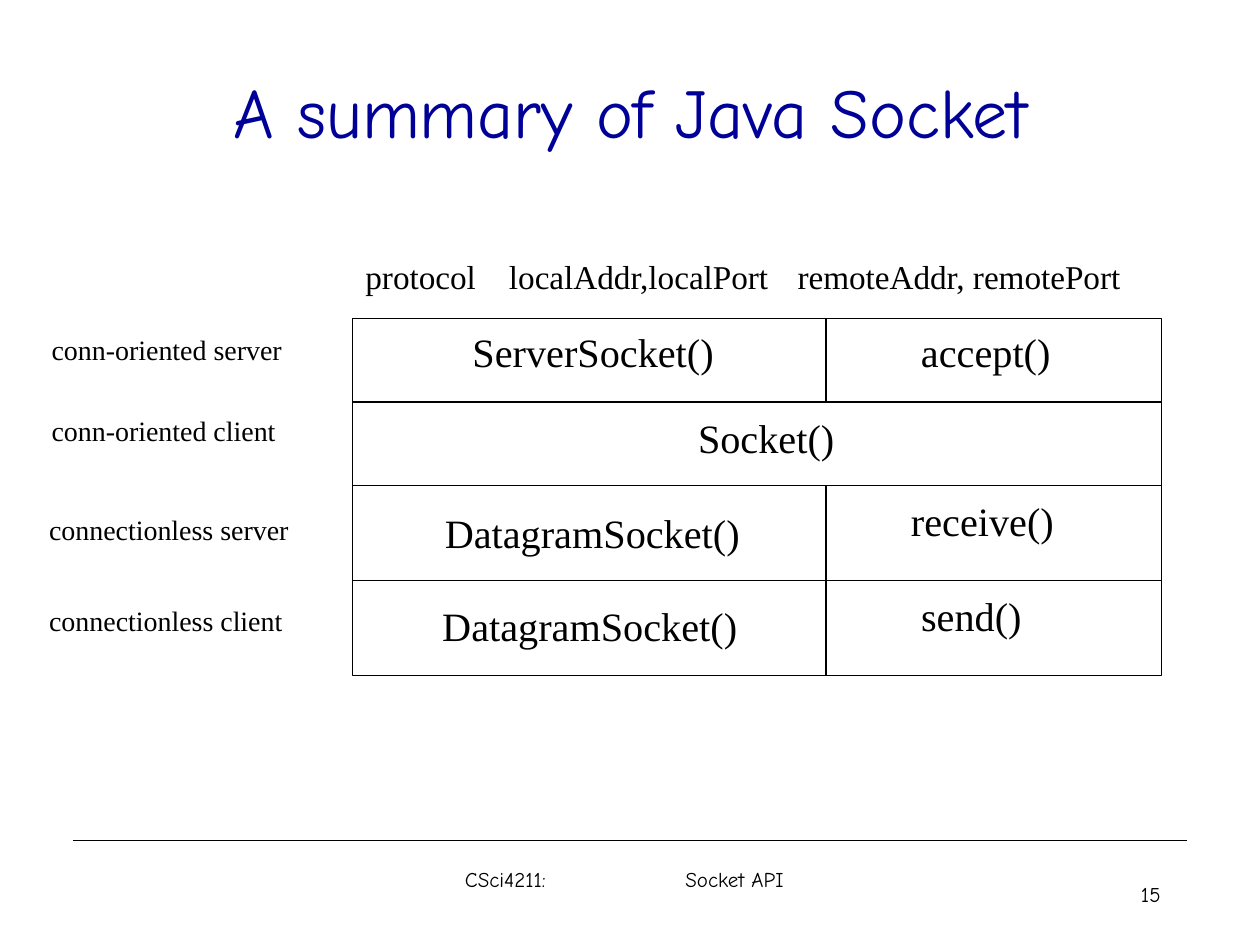
from lxml.etree import SubElement
from pptx import Presentation
from pptx.dml.color import RGBColor
from pptx.enum.shapes import MSO_CONNECTOR as Connector, MSO_SHAPE as Shape
from pptx.enum.text import MSO_ANCHOR as Anchor, PP_ALIGN as Align
from pptx.oxml.ns import qn
from pptx.util import Inches, Pt

BLACK = RGBColor(0x00, 0x00, 0x00)
NAVY = RGBColor(0x00, 0x00, 0x99)
SERIF = "Times New Roman"
CASUAL = "Comic Neue"
COLUMNS, ROWS = 100, 75

TABLE_LEFT, TABLE_SPLIT, TABLE_RIGHT = 28, 65.55, 92.2
ROW_EDGES = [25.3, 31.9, 38.55, 46.1, 53.6]
HEADER_TOP = 20.3

# (text, left, width)
HEADERS = [
    ("protocol", 28.4, 11.5),
    ("localAddr,localPort", 39.8, 24.4),
    ("remoteAddr, remotePort", 62.7, 31.8),
]
# (text, left, top, width)
ROW_LABELS = [
    ("conn-oriented server", 3.5, 26.4, 22.9),
    ("conn-oriented client", 3.5, 32.8, 22),
    ("connectionless server", 3.3, 40.7, 23.7),
    ("connectionless client", 3.3, 47.9, 22.8),
]
CALLS = [
    ("ServerSocket()", 36.9, 26, 20.3),
    ("Socket()", 54.8, 32.8, 11.9),
    ("DatagramSocket()", 34.7, 40.3, 24.5),
    ("DatagramSocket()", 34.5, 47.7, 24.5),
    ("accept()", 72.5, 26, 11.4),
    ("receive()", 71.7, 39.4, 12.4),
    ("send()", 72.5, 46.9, 9.1),
]


def write(box, text, size=12, font=SERIF, color=BLACK, align=Align.LEFT,
          anchor=Anchor.TOP, insets=(0.06, 0, 0.04, 0), tab=None):
    """Fill a box with one paragraph; insets run left, top, right, bottom."""
    frame = box.text_frame
    frame.word_wrap = True
    frame.vertical_anchor = anchor
    (frame.margin_left, frame.margin_top,
     frame.margin_right, frame.margin_bottom) = map(Inches, insets)
    para = frame.paragraphs[0]
    para.alignment = align
    if tab is not None:
        stops = SubElement(para._p.get_or_add_pPr(), qn("a:tabLst"))
        SubElement(stops, qn("a:tab"), pos=str(Inches(tab)), algn="l")
    span = para.add_run()
    span.text = text
    span.font.name = font
    span.font.size = Pt(size)
    span.font.color.rgb = color


class Canvas:
    """Draws on one slide, with positions in columns and rows of its grid."""

    def __init__(self, deck):
        self.column = deck.slide_width / COLUMNS
        self.row = deck.slide_height / ROWS
        self.shapes = deck.slides.add_slide(deck.slide_layouts[6]).shapes
        self.line_color = BLACK
        self.line_width = Pt(0.75)

    def place(self, left, top, right, bottom):
        return (round(left * self.column), round(top * self.row),
                round(right * self.column), round(bottom * self.row))

    def style_line(self, line):
        line.color.rgb = self.line_color
        line.width = self.line_width

    def text(self, text, left, top, width, height, **style):
        box = self.shapes.add_textbox(*self.place(left, top, width, height))
        write(box, text, **style)

    def frame(self, left, top, width, height):
        box = self.shapes.add_shape(
            Shape.RECTANGLE, *self.place(left, top, width, height))
        box.shadow.inherit = False
        box.fill.background()
        self.style_line(box.line)

    def line(self, x1, y1, x2, y2):
        rule = self.shapes.add_connector(
            Connector.STRAIGHT, *self.place(x1, y1, x2, y2))
        SubElement(rule._element.spPr, qn("a:effectLst"))
        self.style_line(rule.line)


def draw_call_grid(canvas):
    top, second, third, _, bottom = ROW_EDGES
    canvas.frame(TABLE_LEFT, top, TABLE_RIGHT - TABLE_LEFT, bottom - top)
    for edge in ROW_EDGES[1:-1]:
        canvas.line(TABLE_LEFT, edge, TABLE_RIGHT, edge)
    for start, end in ((top, second), (third, bottom)):
        canvas.line(TABLE_SPLIT, start, TABLE_SPLIT, end)
    for text, left, row, width in CALLS:
        canvas.text(text, left, row, width, 3.8, size=23)
    for text, left, width in HEADERS:
        canvas.text(text, left, HEADER_TOP, width, 3.2, size=19)
    for text, left, row, width in ROW_LABELS:
        canvas.text(text, left, row, width, 2.7, size=16)


def main():
    deck = Presentation()
    deck.slide_width, deck.slide_height = Inches(10), Inches(7.5)
    canvas = Canvas(deck)
    canvas.line(5.8, 66.7, 94.2, 66.7)
    canvas.text("A summary of Java Socket", 7.5, 0, 85, 17.5, size=40,
                font=CASUAL, color=NAVY, align=Align.CENTER,
                anchor=Anchor.MIDDLE, insets=(0.14, 0.05, 0.13, 0.05))
    draw_call_grid(canvas)
    canvas.text("15", 70.6, 69.5, 22.5, 4, font=CASUAL, align=Align.RIGHT,
                insets=(0.1, 0.05, 0.1, 0.05))
    canvas.text("CSci4211:\tSocket API", 33.3, 68.3, 32.5, 5, font=CASUAL,
                insets=(0.36, 0.05, 0.1, 0.05), tab=1.75)
    deck.save("out.pptx")


if __name__ == "__main__":
    main()
